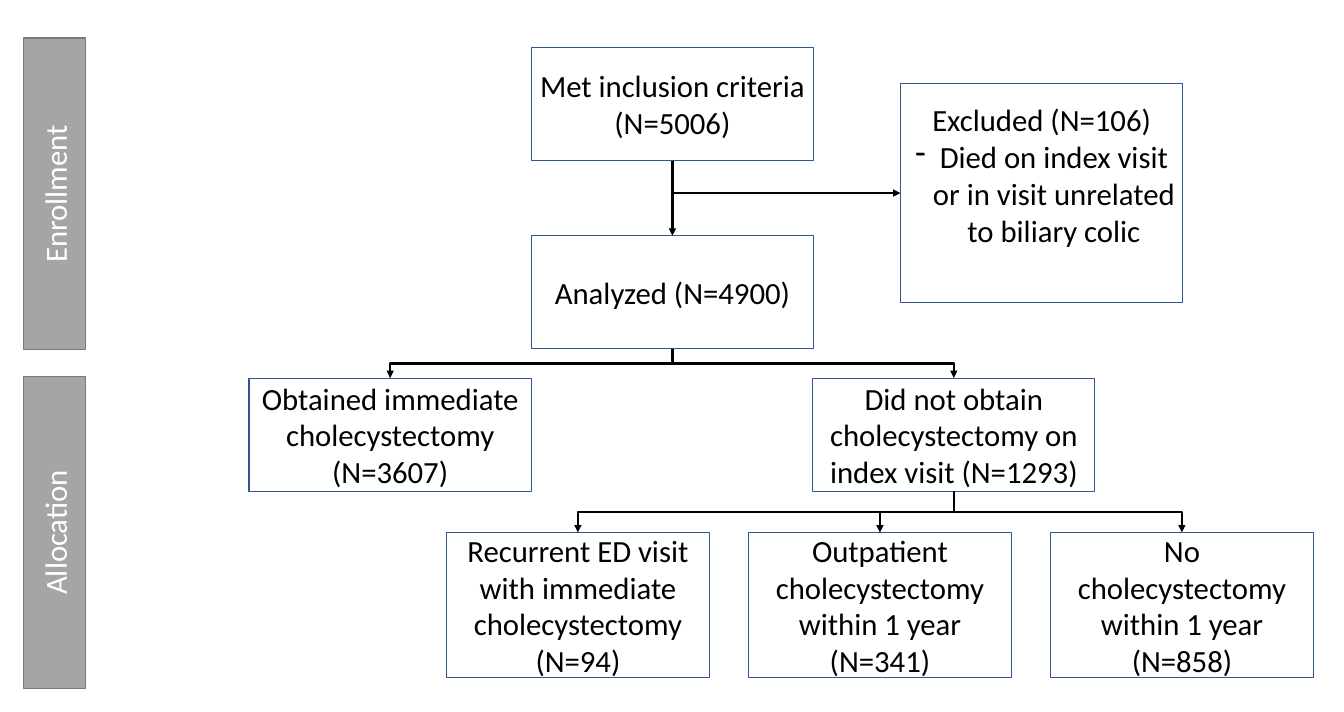
"""Build a patient flow diagram with enrollment and allocation stages."""
import pptx
import pptx.dml.color
import pptx.enum.shapes
import pptx.enum.text
import pptx.util
from pptx.oxml.ns import qn

Inches, Pt = pptx.util.Inches, pptx.util.Pt
RGBColor = pptx.dml.color.RGBColor
CONNECTOR = pptx.enum.shapes.MSO_CONNECTOR
BLACK = RGBColor(0x00, 0x00, 0x00)
WHITE = RGBColor(0xFF, 0xFF, 0xFF)
BLUE = RGBColor(0x32, 0x54, 0x91)
GRAY = RGBColor(0xA5, 0xA5, 0xA5)
DARK_GRAY = RGBColor(0x7A, 0x7A, 0x7A)

BOX_W, BOX_H = 3.57, 1.43
OUTCOME_X, OUTCOME_Y, OUTCOME_W, OUTCOME_H, OUTCOME_STEP = 5.65, 6.73, 3.32, 1.84, 3.82
STAGE_X, STAGE_W, STAGE_H = 0.3, 0.78, 3.94
BULLET_INDENT = 0.31

BOXES = {
    "met": (6.72, 0.6, BOX_W, BOX_H, ["Met inclusion criteria (N=5006)"]),
    "analyzed": (6.72, 2.98, BOX_W, BOX_H, ["Analyzed (N=4900)"]),
    "excluded": (11.39, 1.06, BOX_W, 2.76, [
        "Excluded (N=106)",
        "Died on index visit or in visit unrelated to biliary colic"]),
    "immediate": (3.15, 4.78, BOX_W, BOX_H, ["Obtained immediate cholecystectomy (N=3607)"]),
    "not_index": (10.28, 4.78, BOX_W, BOX_H, [
        "Did not obtain cholecystectomy on index visit (N=1293)"]),
}
OUTCOMES = {
    "recurrent": "Recurrent ED visit with immediate cholecystectomy (N=94)",
    "outpatient": "Outpatient cholecystectomy within 1 year (N=341)",
    "none": "No cholecystectomy within 1 year (N=858)",
}
STAGES = [("Enrollment", 0.48), ("Allocation", 4.76)]
BRANCHES = [
    ("analyzed", "immediate"), ("analyzed", "not_index"),
    ("not_index", "recurrent"), ("not_index", "none"), ("not_index", "outpatient"),
]
TEXT_FORMAT = {"size": Pt(28), "name": "Calibri"}


def add_box(s, x, y, w, h, lines, line_color=BLUE, text_color=BLACK):
    sp = s.shapes.add_shape(pptx.enum.shapes.MSO_SHAPE.RECTANGLE,
                            Inches(x), Inches(y), Inches(w), Inches(h))
    sp.shadow.inherit = False
    sp.fill.background()
    sp.line.color.rgb = line_color
    sp.line.width = Pt(1)
    tf = sp.text_frame
    tf.word_wrap = True
    tf.vertical_anchor = pptx.enum.text.MSO_ANCHOR.MIDDLE
    for i, text in enumerate(lines):
        p = tf.add_paragraph() if i else tf.paragraphs[0]
        p.alignment = pptx.enum.text.PP_ALIGN.CENTER
        r = p.add_run()
        r.text = text
        for key, value in TEXT_FORMAT.items():
            setattr(r.font, key, value)
        r.font.color.rgb = text_color
    return sp


def add_bullet(p, char):
    pPr = p._p.get_or_add_pPr()
    pPr.set("marL", str(Inches(BULLET_INDENT)))
    pPr.set("indent", str(-Inches(BULLET_INDENT)))
    pPr.makeelement(qn("a:buChar"), {"char": char})
    bullet = pptx.oxml.xmlchemy.OxmlElement("a:buChar")
    bullet.set("char", char)
    pPr.append(bullet)


def style_arrow(c):
    c.line.color.rgb = BLACK
    c.line.width = Pt(2.25)
    tail = pptx.oxml.xmlchemy.OxmlElement("a:tailEnd")
    tail.set("type", "triangle")
    c.line._get_or_add_ln().append(tail)
    c._element.spPr.append(pptx.oxml.xmlchemy.OxmlElement("a:effectLst"))


def add_elbow(s, start, end, preset="bentConnector3"):
    """Draw an elbow that leaves start downwards, using a frame turned a quarter."""
    (x1, y1), (x2, y2) = start, end
    half_w, half_h = abs(y2 - y1) // 2, abs(x2 - x1) // 2
    cx, cy = (x1 + x2) // 2, (y1 + y2) // 2
    side = 1 if x2 > x1 else -1
    c = s.shapes.add_connector(CONNECTOR.ELBOW, cx + side * half_w, cy - half_h,
                               cx - side * half_w, cy + half_h)
    c._element.spPr.find(qn("a:xfrm")).set("rot", str((270 if side > 0 else 90) * 60000))
    c._element.spPr.find(qn("a:prstGeom")).set("prst", preset)
    style_arrow(c)


def top_mid(sp):
    return sp.left + sp.width // 2, sp.top


def bottom_mid(sp):
    return sp.left + sp.width // 2, sp.top + sp.height


def left_mid(sp):
    return sp.left, sp.top + sp.height // 2


def main():
    prs = pptx.Presentation()
    prs.slide_width, prs.slide_height = Inches(17), Inches(9)
    s = prs.slides.add_slide(prs.slide_layouts[6])

    boxes = {name: add_box(s, *box) for name, box in BOXES.items()}
    for i, (name, text) in enumerate(OUTCOMES.items()):
        boxes[name] = add_box(s, OUTCOME_X + i * OUTCOME_STEP, OUTCOME_Y,
                              OUTCOME_W, OUTCOME_H, [text])
    tf = boxes["excluded"].text_frame
    tf.margin_bottom = Inches(0.52)
    add_bullet(tf.paragraphs[1], "-")

    for text, y in STAGES:
        offset = (STAGE_H - STAGE_W) / 2
        sp = add_box(s, STAGE_X - offset, y + offset, STAGE_H, STAGE_W, [text],
                     DARK_GRAY, WHITE)
        sp.rotation = 270
        sp.fill.solid()
        sp.fill.fore_color.rgb = GRAY

    c = s.shapes.add_connector(CONNECTOR.STRAIGHT, *bottom_mid(boxes["met"]),
                               *top_mid(boxes["analyzed"]))
    c.begin_connect(boxes["met"], 2)
    c.end_connect(boxes["analyzed"], 0)
    style_arrow(c)
    add_elbow(s, bottom_mid(boxes["met"]), left_mid(boxes["excluded"]), "bentConnector2")
    for parent, child in BRANCHES:
        add_elbow(s, bottom_mid(boxes[parent]), top_mid(boxes[child]))

    prs.save("out.pptx")


if __name__ == "__main__":
    main()
